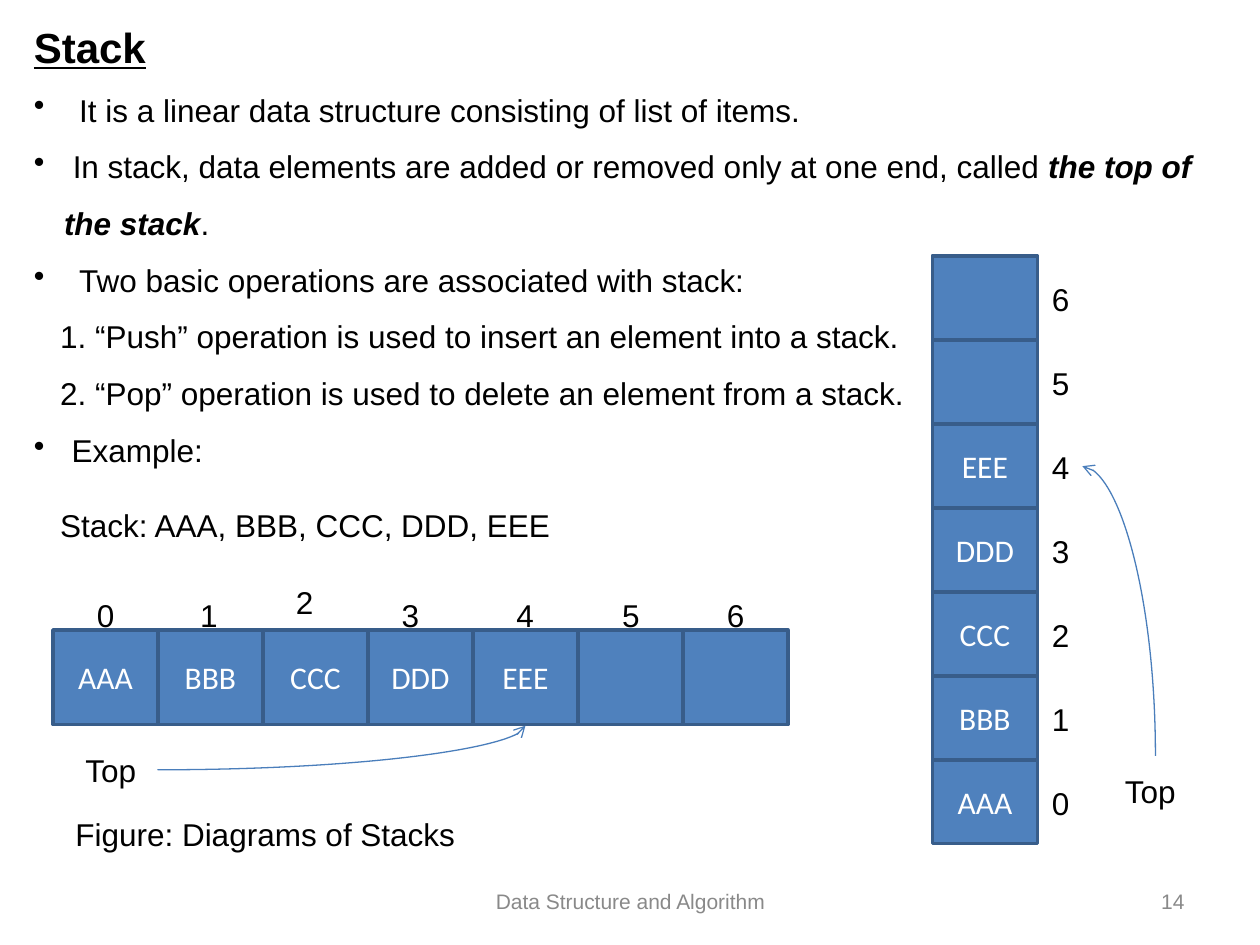
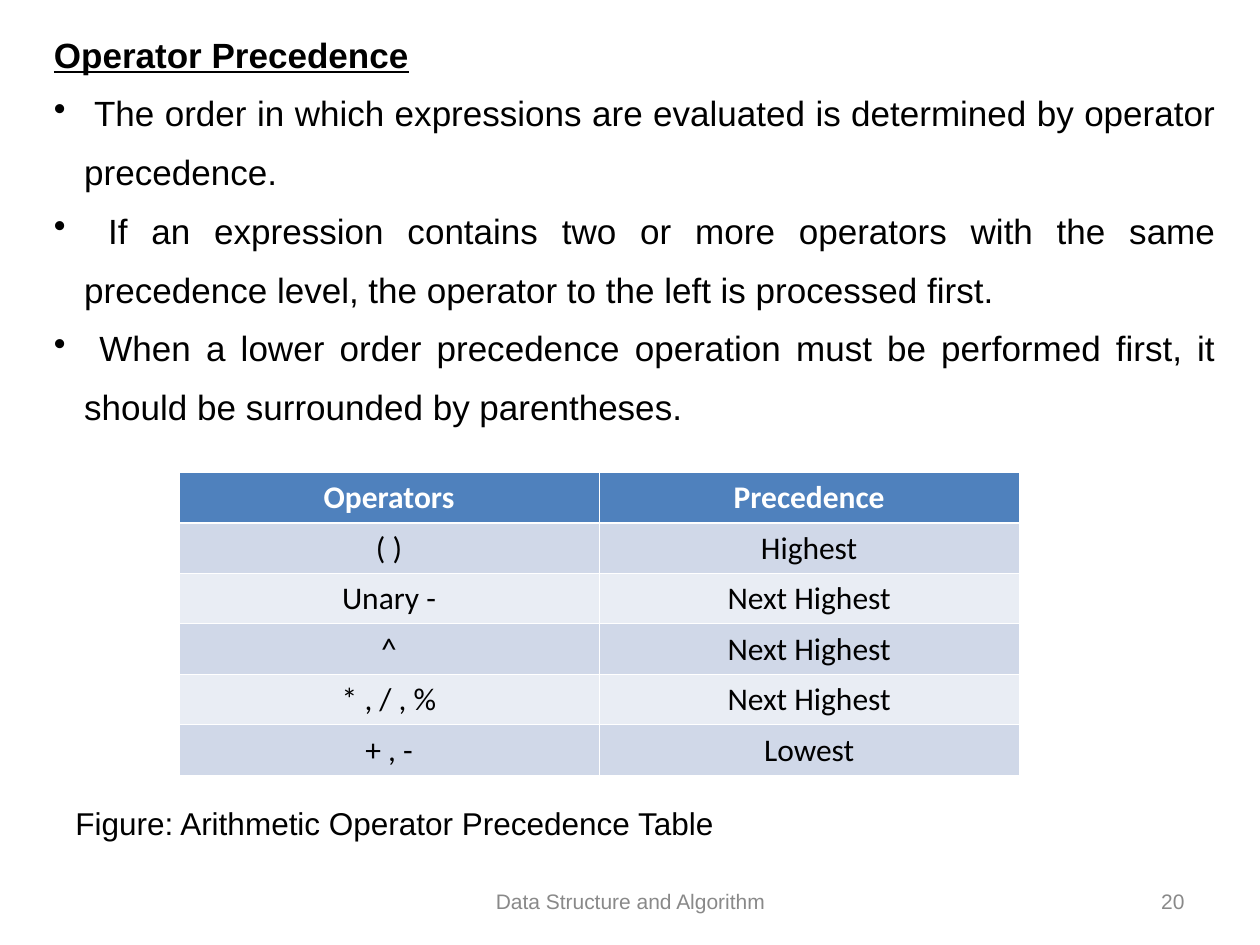
from dataclasses import dataclass
from typing import Optional

import lxml.etree
import pptx
import pptx.dml.color
import pptx.enum.shapes
import pptx.enum.text
import pptx.oxml.ns
import pptx.util

Inches = pptx.util.Inches
Pt = pptx.util.Pt
ALIGN = pptx.enum.text.PP_ALIGN
ANCHOR = pptx.enum.text.MSO_ANCHOR
qn = pptx.oxml.ns.qn

BLACK, WHITE, GREY = "000000", "FFFFFF", "898989"
BLUE, DARK_BLUE, ARROW_BLUE = "4F81BD", "385D8A", "4A7EBB"
BANDS = ("E9EDF4", "D0D8E8")
BODY_FONT, CELL_FONT = "Arial", "Calibri"


@dataclass(frozen=True)
class Box:
    left: float
    top: float
    width: float
    height: float

    def lengths(self) -> tuple:
        return tuple(Inches(v) for v in (self.left, self.top, self.width, self.height))


@dataclass(frozen=True)
class Line:
    text: str
    size: float = 18
    color: str = BLACK
    font: str = BODY_FONT
    align: Optional[ALIGN] = None
    spacing: Optional[float] = None
    margin: float = 0
    bullet: bool = False
    heading: bool = False
    emphasis: str = ""
    ending: str = ""


@dataclass(frozen=True)
class StackCell:
    box: Box
    item: str


@dataclass(frozen=True)
class Arrow:
    level_end: tuple
    upright_end: tuple
    head: str


def rgb(value: str) -> pptx.dml.color.RGBColor:
    return pptx.dml.color.RGBColor.from_string(value)


def write_line(paragraph, line: Line) -> None:
    paragraph.add_run().text = line.text
    if line.emphasis:
        stressed = paragraph.add_run()
        stressed.text = line.emphasis
        stressed.font.bold = stressed.font.italic = True
        paragraph.add_run().text = line.ending
    font = paragraph.font
    font.name, font.size = line.font, Pt(line.size)
    font.color.rgb = rgb(line.color)
    if line.heading:
        font.bold = font.underline = True
    if line.align is not None:
        paragraph.alignment = line.align
    if line.spacing:
        paragraph.line_spacing = line.spacing
    properties = paragraph._p.get_or_add_pPr()
    properties.set("marL", str(Inches(line.margin)))
    properties.set("indent", str(-Inches(line.margin) if line.bullet else 0))
    if line.bullet:
        mark = lxml.etree.Element(qn("a:buChar"), char="•")
        properties.find(qn("a:defRPr")).addprevious(mark)


def add_text(slide, box: Box, lines: list[Line], wrap: bool = True, anchor=ANCHOR.TOP) -> None:
    frame = slide.shapes.add_textbox(*box.lengths()).text_frame
    frame.word_wrap = wrap
    frame.vertical_anchor = anchor
    for index, line in enumerate(lines):
        write_line(frame.add_paragraph() if index else frame.paragraphs[0], line)


def add_stack_cell(slide, cell: StackCell) -> None:
    square = slide.shapes.add_shape(
        pptx.enum.shapes.MSO_SHAPE.RECTANGLE, *cell.box.lengths())
    square.shadow.inherit = False
    square.fill.solid()
    square.fill.fore_color.rgb = rgb(BLUE)
    square.line.color.rgb = rgb(DARK_BLUE)
    square.line.width = Pt(2)
    if cell.item:
        square.text_frame.vertical_anchor = ANCHOR.MIDDLE
        write_line(square.text_frame.paragraphs[0],
                   Line(cell.item, color=WHITE, font=CELL_FONT, align=ALIGN.CENTER))


def add_arrow(slide, arrow: Arrow) -> None:
    ends = [Inches(v) for v in arrow.level_end + arrow.upright_end]
    curve = slide.shapes.add_connector(pptx.enum.shapes.MSO_CONNECTOR.CURVE, *ends)
    curve.line.color.rgb = rgb(ARROW_BLUE)
    curve.line.width = Pt(0.75)
    properties = curve._element.spPr
    properties.find(qn("a:prstGeom")).set("prst", "curvedConnector2")
    lxml.etree.SubElement(properties.find(qn("a:ln")), qn(arrow.head), type="arrow")
    lxml.etree.SubElement(properties, qn("a:effectLst"))


def add_border(cell, side: str, width: float) -> None:
    border = lxml.etree.SubElement(
        cell._tc.get_or_add_tcPr(), qn(f"a:ln{side}"), w=str(Pt(width)))
    paint = lxml.etree.SubElement(border, qn("a:solidFill"))
    lxml.etree.SubElement(paint, qn("a:srgbClr"), val=WHITE)


def add_precedence_table(slide, box: Box, rows: list[tuple[str, str]]) -> None:
    table = slide.shapes.add_table(len(rows), 2, *box.lengths()).table
    for r, row in enumerate(rows):
        for c, text in enumerate(row):
            cell = table.cell(r, c)
            for side in "LRTB":
                thick = (side == "B" and r == 0) or (side == "T" and r == 1)
                add_border(cell, side, 1.5 if thick else 0.45)
            cell.fill.solid()
            cell.fill.fore_color.rgb = rgb(BANDS[r % 2] if r else BLUE)
            paragraph = cell.text_frame.paragraphs[0]
            write_line(paragraph, Line(text, color=BLACK if r else WHITE,
                                       font=CELL_FONT, align=ALIGN.CENTER))
            paragraph.font.bold = r == 0


def add_page(deck, number: int):
    slide = deck.slides.add_slide(deck.slide_layouts[6])
    footer = Line("Data Structure and Algorithm", 12, GREY, align=ALIGN.CENTER)
    page_number = Line(str(number), 12, GREY, align=ALIGN.RIGHT)
    add_text(slide, Box(3.42, 6.95, 3.17, 0.4), [footer], anchor=ANCHOR.MIDDLE)
    add_text(slide, Box(7.17, 6.95, 2.33, 0.4), [page_number], anchor=ANCHOR.MIDDLE)
    return slide


def build_stack(deck) -> None:
    slide = add_page(deck, 14)
    add_text(slide, Box(0.17, -0.08, 9.5, 5.35), [
        Line("Stack", 24, spacing=1.5, heading=True),
        Line("It is a linear data structure consisting of list of items.",
             spacing=1.5, margin=0.36, bullet=True),
        Line(" In stack, data elements are added or removed only at one end, called ",
             spacing=1.5, margin=0.24, bullet=True,
             emphasis="the top of the stack", ending="."),
        Line("Two basic operations are associated with stack:",
             spacing=1.5, margin=0.36, bullet=True),
        Line("1. “Push” operation is used to insert an element into a stack.",
             spacing=1.5, margin=0.21),
        Line("2. “Pop” operation is used to delete an element from a stack.",
             spacing=1.5, margin=0.21),
        Line("Example:", spacing=1.5, margin=0.3, bullet=True),
        Line("Stack: AAA, BBB, CCC, DDD, EEE", spacing=2, margin=0.21),
    ])

    items = ["AAA", "BBB", "CCC", "DDD", "EEE", "", ""]
    row_label_lefts = [0.67, 1.49, 2.25, 3.09, 4, 4.84, 5.67]
    cell_width, column_step = 5 / 6, 2 / 3
    for index, (item, label_left) in enumerate(zip(items, row_label_lefts)):
        label = [Line(str(index))]
        rise = index * column_step
        row_label_top = 4.58 if index == 2 else 4.68
        add_text(slide, Box(label_left, row_label_top, 0.34, 0.4), label, wrap=False)
        add_text(slide, Box(8.25, 6.17 - rise, 0.34, 0.4), label, wrap=False)
        add_stack_cell(slide, StackCell(
            Box(0.42 + index * cell_width, 5, cell_width, 0.75), item))
        add_stack_cell(slide, StackCell(
            Box(7.4, 6.03 - rise, cell_width, column_step), item))

    for left, top in ((0.58, 5.91), (8.83, 6.08)):
        add_text(slide, Box(left, top, 0.67, 0.4), [Line("Top")])
    add_arrow(slide, Arrow((1.25, 6.11), (4.17, 5.76), "a:tailEnd"))
    add_arrow(slide, Arrow((8.59, 3.7), (9.17, 6), "a:headEnd"))
    add_text(slide, Box(0.5, 6.42, 6, 0.4), [Line("Figure: Diagrams of Stacks")])


def build_precedence(deck) -> None:
    slide = add_page(deck, 20)
    rules = [
        " The order in which expressions are evaluated is determined by operator precedence.",
        " If an expression contains two or more operators with the same precedence level, "
        "the operator to the left is processed first.",
        " When a lower order precedence operation must be performed first, "
        "it should be surrounded by parentheses.",
    ]
    heading = Line("Operator Precedence", 20, align=ALIGN.JUSTIFY, spacing=1.4, heading=True)
    add_text(slide, Box(0.33, 0.08, 9.42, 3.37), [heading] + [
        Line(rule, 20, align=ALIGN.JUSTIFY, spacing=1.4, margin=0.24, bullet=True)
        for rule in rules])
    add_precedence_table(slide, Box(1.42, 3.75, 6.67, 2.4), [
        ("Operators", "Precedence"),
        ("( )", "Highest"),
        ("Unary -", "Next Highest"),
        ("^", "Next Highest"),
        ("* , / , %", "Next Highest"),
        ("+ , -", "Lowest"),
    ])
    add_text(slide, Box(0.5, 6.33, 7.5, 0.4),
             [Line("Figure: Arithmetic Operator Precedence Table")])


deck = pptx.Presentation()
deck.slide_width, deck.slide_height = Inches(10), Inches(7.5)
build_stack(deck)
build_precedence(deck)
deck.save("out.pptx")
